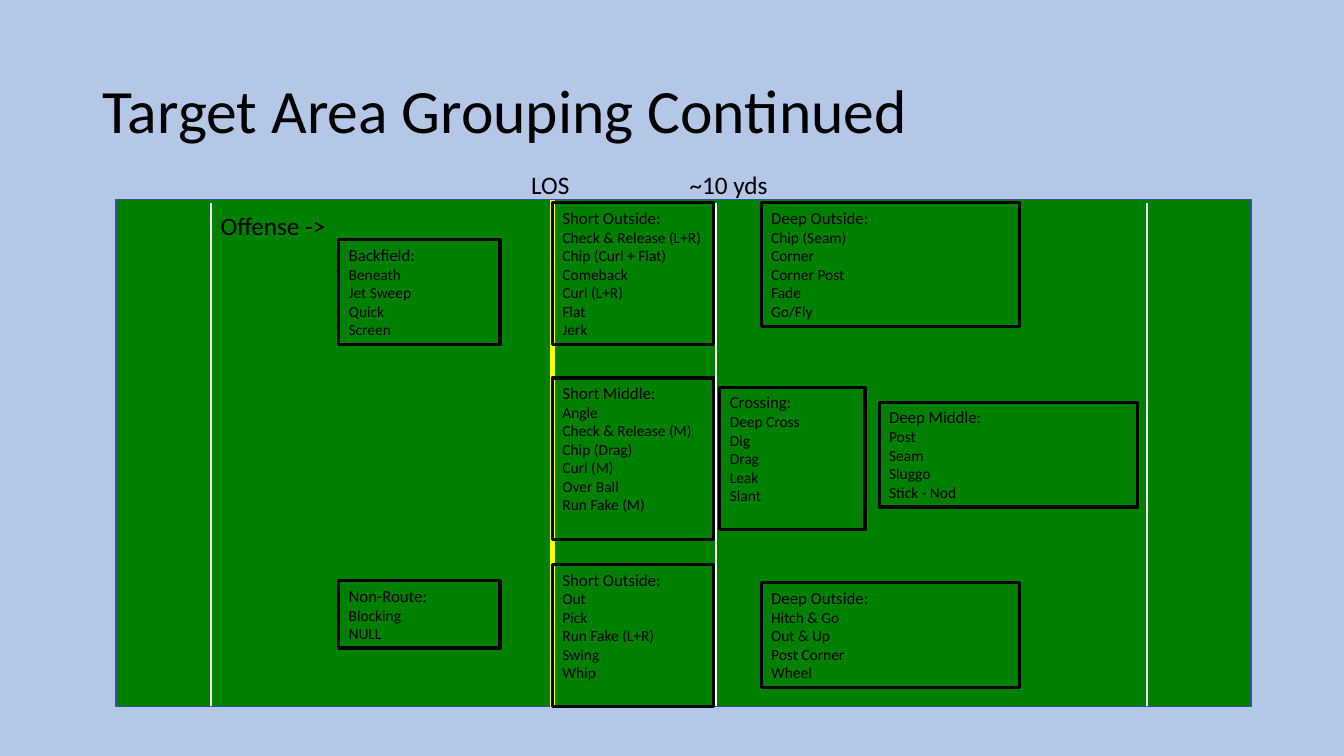
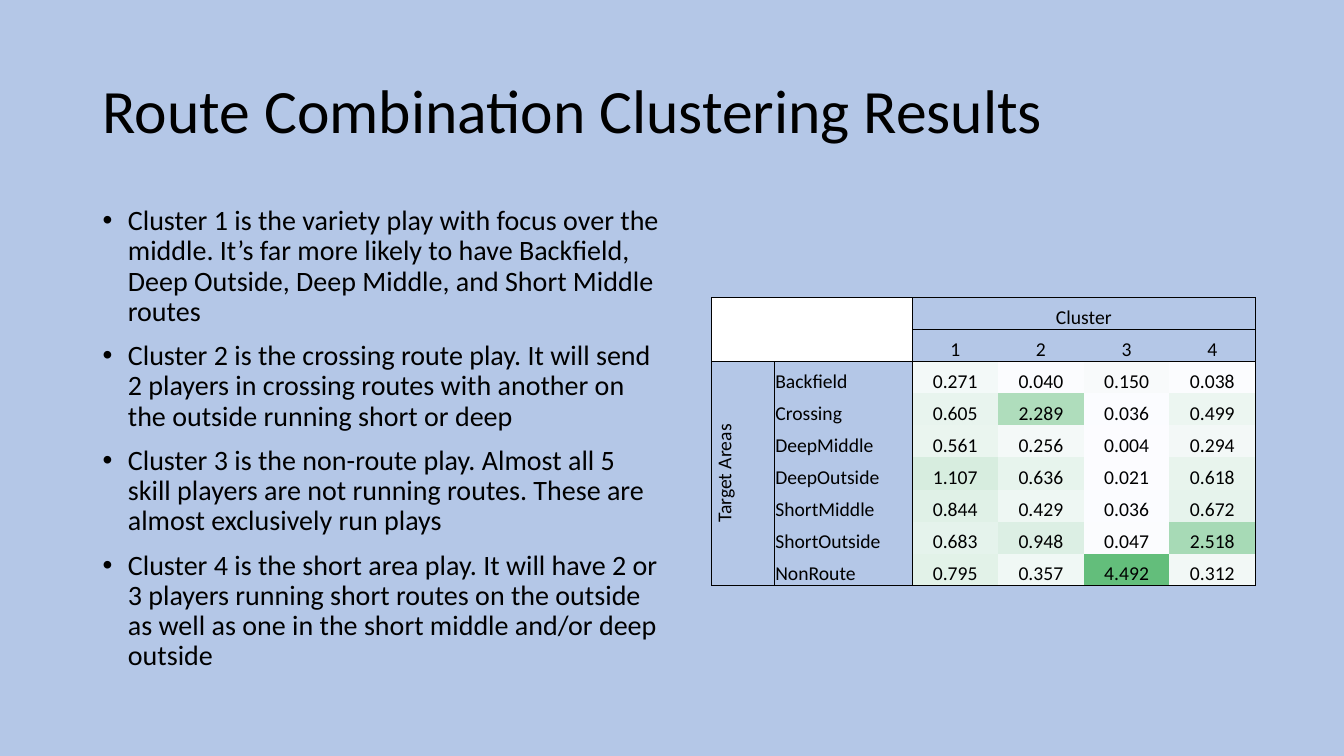
import math

import lxml.etree
import pptx
import pptx.dml.color
import pptx.enum.shapes
import pptx.enum.text
import pptx.oxml.ns
import pptx.util

Inches = pptx.util.Inches
Pt = pptx.util.Pt
qn = pptx.oxml.ns.qn
ALIGN = pptx.enum.text.PP_ALIGN
ANCHOR = pptx.enum.text.MSO_ANCHOR

FONT = "Calibri"
BLACK = "000000"
WHITE = "FFFFFF"
SKY = "B4C7E7"
GRASS = "008000"
FIELD_EDGE = "325491"
YELLOW = "FFFF00"


def paint(fill, colour):
    fill.solid()
    fill.fore_color.rgb = pptx.dml.color.RGBColor.from_string(colour)


def add_span(para, text, size):
    span = para.add_run()
    span.text = text
    span.font.name = FONT
    span.font.size = Pt(size)
    paint(span.font.fill, BLACK)


deck = pptx.Presentation()
deck.slide_width = Inches(13.33)
deck.slide_height = Inches(7.5)

# Background and title of every slide
pages = []
for title in ["Target Area Grouping Continued", "Route Combination Clustering Results"]:
    page = deck.slides.add_slide(deck.slide_layouts[6])
    paint(page.background.fill, SKY)
    box = page.shapes.add_textbox(Inches(0.92), Inches(0.4), Inches(11.5), Inches(1.45))
    box.text_frame.word_wrap = True
    box.text_frame.vertical_anchor = ANCHOR.MIDDLE
    para = box.text_frame.paragraphs[0]
    para.line_spacing = 0.9
    add_span(para, title, 44)
    pages.append(page)
field_page, results_page = pages

# Playing field
field = field_page.shapes.add_shape(
    pptx.enum.shapes.MSO_SHAPE.RECTANGLE, Inches(1.15), Inches(1.98), Inches(11.26), Inches(5.03)
)
field.shadow.inherit = False
paint(field.fill, GRASS)
paint(field.line.fill, FIELD_EDGE)
field.line.width = Pt(1)

yard_lines = [
    # x, top, bottom, colour, width
    (5.48, 1.98, 7.01, YELLOW, 3),
    (2.09, 2.01, 7, WHITE, 1.5),
    (7.1, 2.01, 7, WHITE, 1.5),
    (11.38, 2.01, 7, WHITE, 1.5),
]
for x, top, bottom, colour, width in yard_lines:
    yard_line = field_page.shapes.add_connector(
        pptx.enum.shapes.MSO_CONNECTOR.STRAIGHT, Inches(x), Inches(top), Inches(x), Inches(bottom)
    )
    paint(yard_line.line.fill, colour)
    yard_line.line.width = Pt(width)
    lxml.etree.SubElement(yard_line._element.spPr, qn("a:effectLst"))

field_labels = [("LOS", 5.17, 1.63, 0.62), ("~10 yds", 6.74, 1.63, 1.29), ("Offense ->", 2.09, 2.04, 1.46)]
for text, left, top, width in field_labels:
    box = field_page.shapes.add_textbox(Inches(left), Inches(top), Inches(width), Inches(0.4))
    box.text_frame.word_wrap = True
    add_span(box.text_frame.paragraphs[0], text, 18)

areas = [
    # name, left, top, width, height, routes
    ("Short Outside:", 5.48, 2.01, 1.6, 1.41,
     ["Check & Release (L+R)", "Chip (Curl + Flat)", "Comeback", "Curl (L+R)", "Flat", "Jerk"]),
    ("Short Outside:", 5.48, 5.6, 1.6, 1.41, ["Out", "Pick", "Run Fake (L+R)", "Swing", "Whip"]),
    ("Short Middle:", 5.48, 3.75, 1.6, 1.6,
     ["Angle", "Check & Release (M)", "Chip (Drag)", "Curl (M)", "Over Ball", "Run Fake (M)"]),
    ("Crossing:", 7.14, 3.84, 1.44, 1.41, ["Deep Cross", "Dig", "Drag", "Leak", "Slant"]),
    ("Deep Outside:", 7.55, 2.01, 2.56, 1.23, ["Chip (Seam)", "Corner", "Corner Post", "Fade", "Go/Fly"]),
    ("Deep Outside:", 7.55, 5.78, 2.56, 1.04, ["Hitch & Go", "Out & Up", "Post Corner", "Wheel"]),
    ("Deep Middle:", 8.72, 3.99, 2.56, 1.04, ["Post", "Seam", "Sluggo", "Stick - Nod"]),
    ("Backfield:", 3.36, 2.38, 1.6, 1.04, ["Beneath", "Jet Sweep", "Quick", "Screen"]),
    ("Non-Route:", 3.36, 5.76, 1.6, 0.67, ["Blocking", "NULL"]),
]
for name, left, top, width, height, routes in areas:
    box = field_page.shapes.add_shape(
        pptx.enum.shapes.MSO_SHAPE.RECTANGLE, Inches(left), Inches(top), Inches(width), Inches(height)
    )
    box.shadow.inherit = False
    box.fill.background()
    paint(box.line.fill, BLACK)
    box.line.width = Pt(2.25)
    frame = box.text_frame
    frame.word_wrap = True
    frame.vertical_anchor = ANCHOR.TOP
    for index, text in enumerate([name] + routes):
        para = frame.add_paragraph() if index else frame.paragraphs[0]
        para.alignment = ALIGN.LEFT
        add_span(para, text, 11 if index else 12)

# Cluster descriptions
findings = [
    "Cluster 1 is the variety play with focus over the middle. It’s far more likely to have "
    "Backfield, Deep Outside, Deep Middle, and Short Middle routes",
    "Cluster 2 is the crossing route play. It will send 2 players in crossing routes with "
    "another on the outside running short or deep",
    "Cluster 3 is the non-route play. Almost all 5 skill players are not running routes. "
    "These are almost exclusively run plays",
    "Cluster 4 is the short area play. It will have 2 or 3 players running short routes on "
    "the outside as well as one in the short middle and/or deep outside",
]
box = results_page.shapes.add_textbox(Inches(0.92), Inches(2), Inches(5.75), Inches(4.76))
frame = box.text_frame
frame.word_wrap = True
for index, text in enumerate(findings):
    para = frame.add_paragraph() if index else frame.paragraphs[0]
    para.line_spacing = 0.9
    para.space_before = Pt(10)
    properties = para._p.get_or_add_pPr()
    properties.set("marL", str(Inches(0.25)))
    properties.set("indent", str(Inches(-0.25)))
    lxml.etree.SubElement(properties, qn("a:buFont"), typeface="Arial")
    lxml.etree.SubElement(properties, qn("a:buChar"), char="•")
    add_span(para, text, 20)

# Cluster table
cluster_means = [
    ("Backfield", "0.271", "0.040", "0.150", "0.038"),
    ("Crossing", "0.605", "2.289", "0.036", "0.499"),
    ("DeepMiddle", "0.561", "0.256", "0.004", "0.294"),
    ("DeepOutside", "1.107", "0.636", "0.021", "0.618"),
    ("ShortMiddle", "0.844", "0.429", "0.036", "0.672"),
    ("ShortOutside", "0.683", "0.948", "0.047", "2.518"),
    ("NonRoute", "0.795", "0.357", "4.492", "0.312"),
]
rows = [("", "", "Cluster", "", "", ""), ("", "", "1", "2", "3", "4")]
rows += [("", *means) for means in cluster_means]
rows[2] = ("Target Areas", *cluster_means[0])

column_widths = [0.62, 1.37] + [0.85] * 4
table_height = Inches(2.86)
table = results_page.shapes.add_table(
    len(rows), len(column_widths), Inches(7.06), Inches(2.95), Inches(sum(column_widths)), table_height
).table
table.first_row = False
table.horz_banding = False
for column, width in zip(table.columns, column_widths):
    column.width = Inches(width)
for row in table.rows:
    row.height = table_height // len(rows)

# Each block is outlined: first row, first column, last row, last column, merged
blocks = [
    (0, 0, 1, 1, False),
    (0, 2, 0, 5, True),
    (1, 2, 1, 5, False),
    (2, 0, 8, 0, True),
    (2, 1, 8, 1, False),
    (2, 2, 8, 5, False),
]
means = [float(text) for row in cluster_means for text in row[1:]]
lowest, highest = min(means), max(means)
scale_low, scale_high = (252, 252, 255), (99, 190, 123)

for first_row, first_column, last_row, last_column, merged in blocks:
    if merged:
        table.cell(first_row, first_column).merge(table.cell(last_row, last_column))
    for r in range(first_row, last_row + 1):
        for c in range(first_column, last_column + 1):
            cell = table.cell(r, c)
            cell.margin_left = cell.margin_right = cell.margin_top = Inches(0.01)
            cell.margin_bottom = 0
            cell.vertical_anchor = ANCHOR.BOTTOM
            properties = cell._tc.get_or_add_tcPr()
            edges = {
                "a:lnL": merged or c == first_column,
                "a:lnR": merged or c == last_column,
                "a:lnT": merged or r == first_row,
                "a:lnB": merged or r == last_row,
            }
            for tag, drawn in edges.items():
                edge = lxml.etree.SubElement(properties, qn(tag), w=str(Pt(0.5)))
                if drawn:
                    ink = lxml.etree.SubElement(edge, qn("a:solidFill"))
                    lxml.etree.SubElement(ink, qn("a:srgbClr"), val=BLACK)
                else:
                    lxml.etree.SubElement(edge, qn("a:noFill"))

            text = rows[r][c]
            if r >= 2 and c >= 2:
                share = (float(text) - lowest) / (highest - lowest)
                shade = [math.ceil(a + (b - a) * share) for a, b in zip(scale_low, scale_high)]
                paint(cell.fill, "".join(f"{level:02X}" for level in shade))
            elif r < 2 and c < 2:
                paint(cell.fill, WHITE)
            else:
                cell.fill.background()
            if text:
                para = cell.text_frame.paragraphs[0]
                para.alignment = ALIGN.LEFT if c == 1 else ALIGN.CENTER
                add_span(para, text, 14)

side_heading = table.cell(2, 0)
side_heading.vertical_anchor = ANCHOR.MIDDLE
side_heading._tc.get_or_add_tcPr().set("vert", "vert270")

deck.save("out.pptx")
